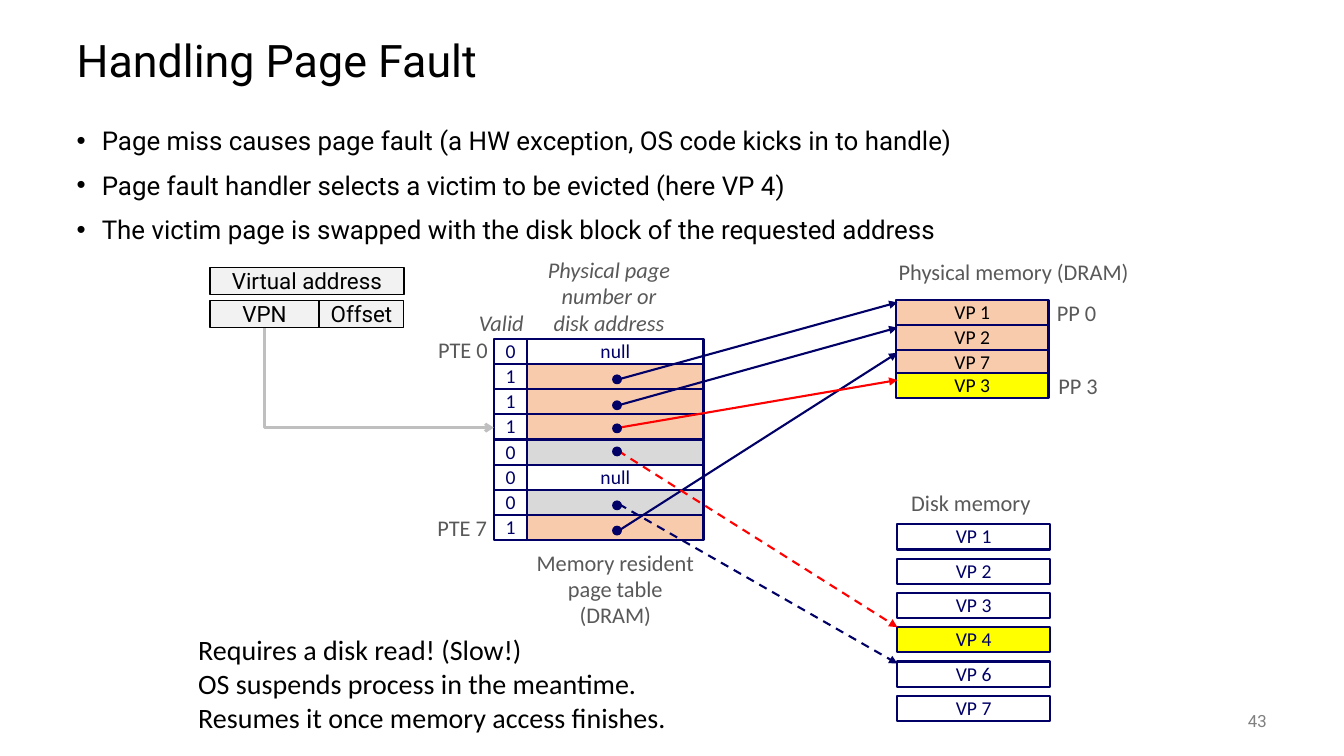
from lxml import etree
from pptx import Presentation
from pptx.dml.color import RGBColor
from pptx.enum.dml import MSO_LINE
from pptx.enum.shapes import MSO_CONNECTOR, MSO_SHAPE
from pptx.enum.text import MSO_ANCHOR, MSO_AUTO_SIZE, PP_ALIGN
from pptx.oxml.ns import qn
from pptx.util import Pt

LEFT, CENTER, RIGHT = PP_ALIGN.LEFT, PP_ALIGN.CENTER, PP_ALIGN.RIGHT
TOP, MIDDLE = MSO_ANCHOR.TOP, MSO_ANCHOR.MIDDLE
RECT, OVAL = MSO_SHAPE.RECTANGLE, MSO_SHAPE.OVAL
STRAIGHT, ELBOW = MSO_CONNECTOR.STRAIGHT, MSO_CONNECTOR.ELBOW
SOLID, DASH = MSO_LINE.SOLID, MSO_LINE.DASH
COLORS = {
    "black": "000000", "navy": "000066", "red": "FF0000", "white": "FFFFFF",
    "peach": "F8CBAD", "gray": "D9D9D9", "yellow": "FFFF00", "pale": "F2F2F2",
    "label": "595959", "number": "808080", "path": "BFBFBF",
}
RGB = {name: RGBColor.from_string(value) for name, value in COLORS.items()}


def write(sp, text, size, color, align=CENTER, anchor=MIDDLE, font="Calibri",
          spacing=0.98, italic=False):
    tf = sp.text_frame
    tf.text = text
    tf.auto_size = MSO_AUTO_SIZE.NONE
    tf.word_wrap = align == LEFT
    tf.vertical_anchor = anchor
    for p in tf.paragraphs:
        p.alignment = align
        p.line_spacing = spacing
        for r in p.runs:
            r.font.size = Pt(size)
            r.font.name = font
            r.font.italic = italic
            r.font.color.rgb = RGB[color]


def add_box(kind, x, y, w, h, fill, line, width):
    sp = slide.shapes.add_shape(kind, Pt(x), Pt(y), Pt(w), Pt(h))
    sp.shadow.inherit = False
    sp.fill.solid()
    sp.fill.fore_color.rgb = RGB[fill]
    sp.line.color.rgb = RGB[line]
    sp.line.width = Pt(width)
    return sp


prs = Presentation()
prs.slide_width, prs.slide_height = Pt(960), Pt(540)
slide = prs.slides.add_slide(prs.slide_layouts[1])

title = slide.shapes.title
title.left, title.top, title.width, title.height = Pt(47.5), Pt(18), Pt(864), Pt(54)
write(title, "Handling Page Fault", 32, "black", LEFT, font="Roboto", spacing=0.9)

body = slide.placeholders[1]
body.left, body.top, body.width, body.height = Pt(47.5), Pt(90), Pt(864), Pt(96.5)
bullets = [
    "Page miss causes page fault (a HW exception, OS code kicks in to handle)",
    "Page fault handler selects a victim to be evicted (here VP 4)",
    "The victim page is swapped with the disk block of the requested address",
]
write(body, "\n".join(bullets), 18.5, "black", LEFT, TOP, "Roboto", 0.8)
for i, p in enumerate(body.text_frame.paragraphs):
    p.space_before = Pt(14 if i else 0)
    pPr = p._p.get_or_add_pPr()
    pPr.set("marL", str(Pt(18)))
    pPr.set("indent", str(-Pt(18)))
    etree.SubElement(pPr, qn("a:buFont")).set("typeface", "Arial")
    etree.SubElement(pPr, qn("a:buChar")).set("char", "•")

page_table = [
    ("0", "null", "white"), ("1", "", "peach"), ("1", "", "peach"), ("1", "", "peach"),
    ("0", "", "gray"), ("0", "null", "white"), ("0", "", "gray"), ("1", "", "peach"),
]
for i, (valid, entry, fill) in enumerate(page_table):
    y = 242 + 18 * i
    sp = add_box(RECT, 376.5, y, 126, 18, fill, "navy", 1.5)
    if entry:
        write(sp, entry, 14, "navy")
    sp = add_box(RECT, 353, y, 23.5, 18, "white", "navy", 1.5)
    write(sp, valid, 14, "navy")

frames = [("VP 1", 214, "peach"), ("VP 2", 232, "peach"),
          ("VP 7", 250, "peach"), ("VP 3", 266.5, "yellow")]
for name, y, fill in frames:
    write(add_box(RECT, 640, y, 109, 18, fill, "navy", 1.5), name, 14, "black")

for i, name in enumerate(["VP 1", "VP 2", "VP 3", "VP 4", "VP 6", "VP 7"]):
    fill = "yellow" if name == "VP 4" else "white"
    sp = add_box(RECT, 641, 374.5 + 24.5 * i, 109, 18, fill, "navy", 1.5)
    write(sp, name, 14, "navy")

arrows = [
    (STRAIGHT, 442, 360, 641, 474, "navy", DASH),
    (STRAIGHT, 442, 379, 641, 252, "navy", SOLID),
    (STRAIGHT, 443.5, 289, 641, 234, "navy", SOLID),
    (STRAIGHT, 440, 271.5, 641, 216, "navy", SOLID),
    (STRAIGHT, 441.5, 322, 641, 448, "red", DASH),
    (STRAIGHT, 442, 305.5, 641, 271.5, "red", SOLID),
    (ELBOW, 306.75, 188, 235.25, 351.5, "path", SOLID),
]
for kind, x1, y1, x2, y2, color, dash in arrows:
    cn = slide.shapes.add_connector(kind, Pt(x1), Pt(y1), Pt(x2), Pt(y2))
    cn.line.color.rgb = RGB[color]
    cn.line.width = Pt(2 if kind == ELBOW else 1.5)
    cn.line.dash_style = dash
    tail = etree.SubElement(cn.line._get_or_add_ln(), qn("a:tailEnd"))
    tail.set("type", "arrow" if kind == ELBOW else "triangle")
    spPr = cn._element.spPr
    etree.SubElement(spPr, qn("a:effectLst"))
    if kind == ELBOW:
        spPr.find(qn("a:xfrm")).set("rot", "16200000")
        spPr.find(qn("a:prstGeom")).set("prst", "bentConnector2")

for y in [268, 286.5, 303, 319.5, 358, 376]:
    add_box(OVAL, 437.75, y, 6, 6, "navy", "navy", 1)

address_parts = [("Virtual address", 150, 191, 138.5), ("VPN", 150, 214.5, 78),
                 ("Offset", 228, 214.5, 60.5)]
for text, x, y, w in address_parts:
    sp = add_box(RECT, x, y, w, 19.5, "pale", "black", 1)
    write(sp, text, 16, "black", font="Roboto", spacing=1)

labels = [
    ("Memory resident\npage table\n(DRAM)", 373, 389.5, 133, 64, CENTER, TOP, False),
    ("Valid", 335, 218, 54, 26.5, LEFT, TOP, True),
    ("Physical page\nnumber or\ndisk address", 382.5, 180, 105, 64, CENTER, MIDDLE, True),
    ("PTE 0", 305, 237, 50.5, 26.5, RIGHT, MIDDLE, False),
    ("PTE 7", 304.5, 364.5, 50.5, 26.5, RIGHT, MIDDLE, False),
    ("PP 0", 747.5, 211, 43, 26.5, CENTER, MIDDLE, False),
    ("PP 3", 748.5, 263, 43, 26.5, CENTER, MIDDLE, False),
    ("Physical memory (DRAM)", 616.5, 182, 215, 26.5, CENTER, TOP, False),
    ("Disk memory", 643, 346.5, 101, 26.5, CENTER, TOP, False),
]
for text, x, y, w, h, align, anchor, italic in labels:
    sp = slide.shapes.add_textbox(Pt(x), Pt(y), Pt(w), Pt(h))
    write(sp, text, 16, "label", align, anchor, italic=italic)

remarks = ("Requires a disk read! (Slow!)\nOS suspends process in the meantime.\n"
           "Resumes it once memory access finishes.")
sp = slide.shapes.add_textbox(Pt(134.5), Pt(448.5), Pt(352), Pt(80))
write(sp, remarks, 20, "black", LEFT, TOP, spacing=1)

sp = slide.shapes.add_textbox(Pt(840), Pt(500.5), Pt(72), Pt(29))
write(sp, "43", 12, "number", RIGHT, font="Roboto", spacing=1)

prs.save("out.pptx")
